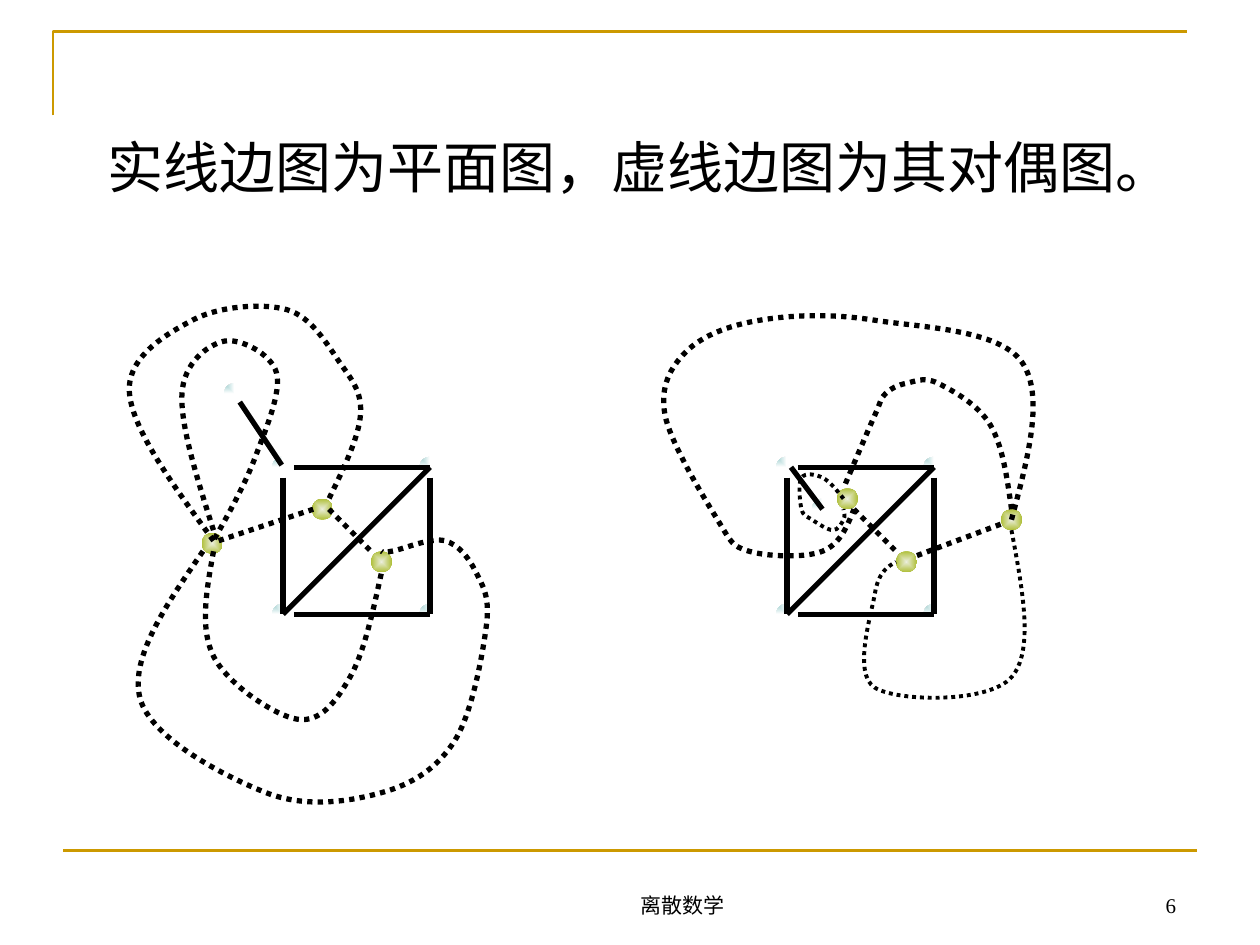
"""Build a slide showing two drawings of a planar graph with their dual graphs."""
from lxml import etree
from pptx import Presentation
from pptx import util as u
from pptx.dml.color import RGBColor
from pptx.enum import dml, shapes, text
from pptx.oxml.ns import qn

Pt = u.Pt
COLORS = {
    "paper": "FFFFFF", "ink": "000000", "gold": "CC9900",
    "teal": "99CCCC", "pale": "EBEEDC", "olive": "AFBF39",
}
VERTEX = {"stops": ("teal", "paper"), "kind": "rect", "focus": (0, 0, 100, 100)}
FACE = {"stops": ("pale", "olive"), "kind": "shape", "focus": (50, 50, 50, 50)}


def add_disc(parent, left, top, look):
    disc = parent.add_shape(shapes.MSO_SHAPE.OVAL, Pt(left), Pt(top), Pt(12), Pt(12))
    disc.shadow.inherit = False
    disc.line.fill.background()
    disc.fill.gradient()
    for stop, color, position in zip(disc.fill.gradient_stops, look["stops"], (0, 1)):
        stop.color.rgb = RGBColor.from_string(COLORS[color])
        stop.position = position
    gradient = disc._element.spPr.find(qn("a:gradFill"))
    gradient.remove(gradient.find(qn("a:lin")))
    radial = etree.SubElement(gradient, qn("a:path"), {"path": look["kind"]})
    focus = {side: str(share * 1000) for side, share in zip("ltrb", look["focus"])}
    etree.SubElement(radial, qn("a:fillToRect"), focus)


def add_stroke(parent, points, color="ink", width=3, dash=None, curved=False):
    places = [(Pt(x), Pt(y)) for x, y in points]
    if len(places) == 2:
        stroke = parent.add_connector(shapes.MSO_CONNECTOR.STRAIGHT, *places[0], *places[1])
    else:
        outline = parent.build_freeform(*places[0])
        outline.add_line_segments(places[1:], close=False)
        stroke = outline.convert_to_shape()
        stroke.fill.background()
    if curved:
        route = stroke._element.spPr.find(".//" + qn("a:path"))
        legs = route.findall(qn("a:lnTo"))
        for start in range(0, len(legs), 3):
            bezier = etree.SubElement(route, qn("a:cubicBezTo"))
            for leg in legs[start:start + 3]:
                bezier.append(leg[0])
                route.remove(leg)
    stroke.line.color.rgb = RGBColor.from_string(COLORS[color])
    for name, value in {"width": Pt(width), "dash_style": dash}.items():
        setattr(stroke.line, name, value)
    etree.SubElement(stroke._element.spPr, qn("a:effectLst"))


deck = Presentation()
deck.slide_width, deck.slide_height = Pt(720), Pt(540)
slide = deck.slides.add_slide(deck.slide_layouts[5])
canvas = slide.shapes

add_stroke(canvas, [(30.25, 66), (30.25, 18), (678.25, 18)], "gold", 1.5)
add_stroke(canvas, [(36, 486), (684, 486)], "gold", 1.5)

heading = canvas.title
course = canvas.add_textbox(0, 0, 0, 0)
number = canvas.add_textbox(0, 0, 0, 0)
LABELS = [
    (heading, "实线边图为平面图，虚线边图为其对偶图。", (54, 72, 618, 48), 32,
     "Noto Sans CJK SC", text.PP_ALIGN.LEFT, text.MSO_ANCHOR.TOP),
    (course, "离散数学", (276, 492, 228, 36), 12,
     "Times New Roman", text.PP_ALIGN.CENTER, text.MSO_ANCHOR.BOTTOM),
    (number, "6", (600, 492, 79.25, 36), 12,
     "Times New Roman", text.PP_ALIGN.RIGHT, text.MSO_ANCHOR.BOTTOM),
]
for label, wording, box, size, face, align, anchor in LABELS:
    for name, value in zip(("left", "top", "width", "height"), box):
        setattr(label, name, Pt(value))
    frame = label.text_frame
    frame.text = wording
    frame_format = {"word_wrap": True, "auto_size": text.MSO_AUTO_SIZE.NONE,
                    "vertical_anchor": anchor}
    for name, value in frame_format.items():
        setattr(frame, name, value)
    frame.paragraphs[0].alignment = align
    wording_run = frame.paragraphs[0].runs[0]
    for name, value in {"size": Pt(size), "name": face}.items():
        setattr(wording_run.font, name, value)
    wording_run.font.color.rgb = RGBColor.from_string(COLORS["ink"])

statement = heading.text_frame.paragraphs[0]
for name, value in {"marL": Pt(27), "indent": Pt(-27)}.items():
    statement._p.get_or_add_pPr().set(name, str(value))
for label, face in ((heading, "Noto Sans CJK SC"), (course, "Noto Sans CJK SC")):
    wording_run = label.text_frame.paragraphs[0].runs[0]
    etree.SubElement(wording_run._r.rPr, qn("a:ea"), {"typeface": face})

SQUARE_VERTICES = [(155.5, 261), (239.75, 261), (239.75, 345), (155.5, 345)]
SQUARE_EDGES = [
    [(168, 267), (245.75, 267)], [(245.75, 273), (245.75, 351)],
    [(161.75, 273), (161.75, 351)], [(168, 351), (245.75, 351)],
    [(245.75, 267), (161.75, 351)],
]
DRAWINGS = [
    {
        "shift": 0,
        "pendant": (128, 219),
        "pendant_edge": [(137, 229.75), (161, 265.75)],
        "faces": [(178.25, 285), (212, 315), (115.25, 304.5)],
        "dual_lines": [[(125, 309), (179, 291)], [(188, 291), (212, 315)]],
        "dual_curves": [
            (3, [(122, 309), (74, 225), (110, 183), (164, 177), (194, 207),
                 (206, 237), (188, 285)]),
            (3, [(122, 303), (104, 225), (128, 195), (158, 213), (146, 261), (122, 309)]),
            (3, [(122, 315), (122, 375), (170, 411), (200, 387), (218, 327)]),
            (3, [(116, 315), (80, 399), (152, 453), (218, 453), (260, 423),
                 (278, 357), (272, 327), (254, 309), (224, 315), (218, 315)]),
        ],
    },
    {
        "shift": 288,
        "pendant": (464, 285),
        "pendant_edge": [(452, 267), (470, 291)],
        "faces": [(478.25, 279), (512, 315), (572, 291)],
        "dual_lines": [[(488, 291), (512, 315)], [(524, 317.5), (572, 299.5)]],
        "dual_curves": [
            (3, [(578, 291), (566, 243), (536, 219), (518, 219), (506, 225),
                 (500, 237), (482, 279)]),
            (2.25, [(578, 303), (578, 387), (500, 393), (500, 339), (512, 321)]),
            (3, [(578, 297), (584, 207), (500, 183), (434, 183), (392, 201),
                 (380, 237), (410, 297), (428, 315), (470, 315), (488, 291)]),
            (2.25, [(482, 285), (470, 273), (458, 273), (458, 291), (464, 297),
                    (476, 303), (482, 297), (482, 291)]),
        ],
    },
]

for drawing in DRAWINGS:
    shift = drawing["shift"]
    primal = canvas.add_group_shape().shapes
    add_disc(primal, *drawing["pendant"], VERTEX)
    for x, y in SQUARE_VERTICES:
        add_disc(primal, x + shift, y, VERTEX)
    add_stroke(primal, drawing["pendant_edge"])
    for edge in SQUARE_EDGES:
        add_stroke(primal, [(x + shift, y) for x, y in edge])

    for x, y in drawing["faces"]:
        add_disc(canvas, x, y, FACE)
    for edge in drawing["dual_lines"]:
        add_stroke(canvas, edge, dash=dml.MSO_LINE.ROUND_DOT)

    for width, knots in drawing["dual_curves"]:
        slopes = [((c[0] - a[0]) / 6, (c[1] - a[1]) / 6) for a, c in zip(knots, knots[2:])]
        leaving = [(x + dx, y + dy) for (x, y), (dx, dy) in zip(knots[1:], slopes)]
        arriving = [(x - dx, y - dy) for (x, y), (dx, dy) in zip(knots[1:], slopes)]
        leaving.insert(0, [(p + q) / 2 for p, q in zip(knots[0], arriving[0])])
        arriving.append([(p + q) / 2 for p, q in zip(knots[-1], leaving[-1])])
        trail = [knots[0]]
        for segment in zip(leaving, arriving, knots[1:]):
            trail.extend(segment)
        add_stroke(canvas, trail, width=width, dash=dml.MSO_LINE.ROUND_DOT, curved=True)

deck.save("out.pptx")
